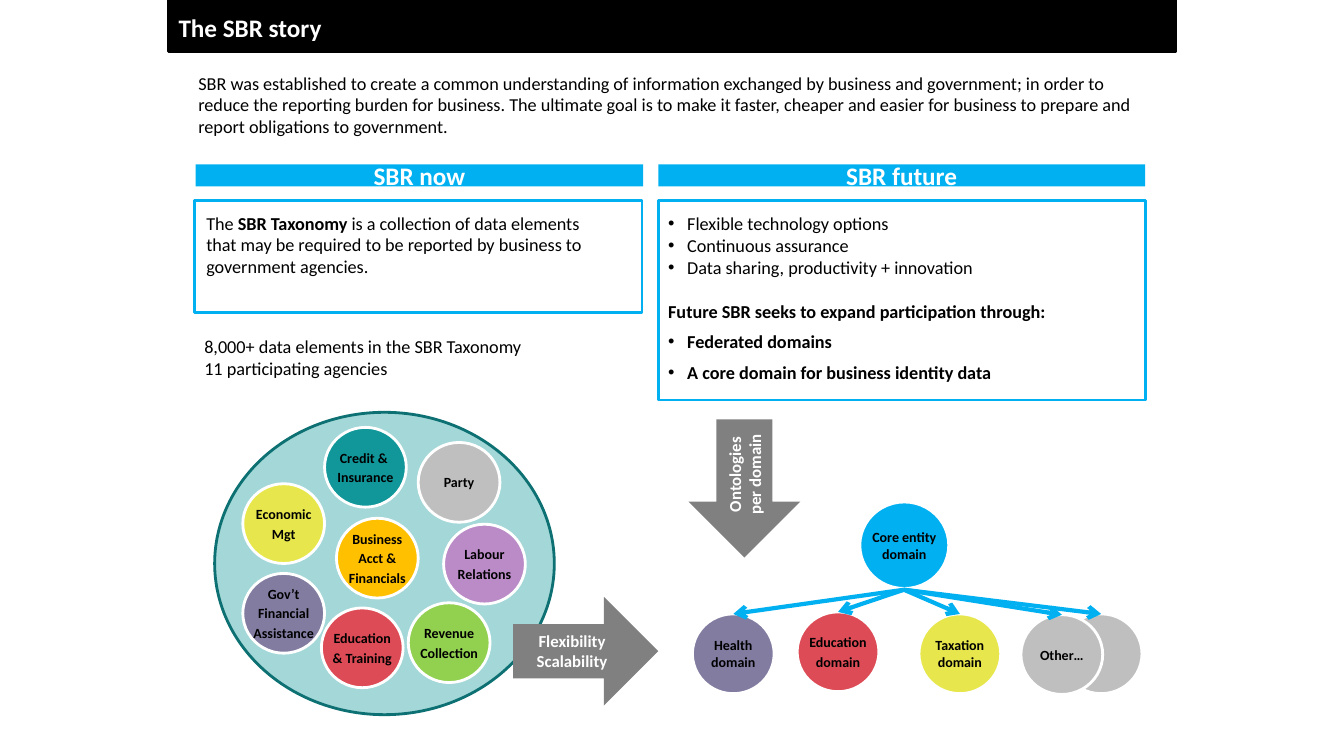
from lxml import etree
from pptx import Presentation
from pptx.dml.color import RGBColor
from pptx.enum.shapes import MSO_CONNECTOR, MSO_SHAPE
from pptx.enum.text import MSO_ANCHOR as Anchor, PP_ALIGN as Align
from pptx.oxml.ns import qn
from pptx.util import Cm, Pt

COLORS = {
    "black": "000000", "white": "FFFFFF", "blue": "00B0F0", "teal": "11979A",
    "dark teal": "0D7072", "dark gray": "808080", "gray": "BFBFBF",
    "purple": "837CA1", "yellow": "E7E74D", "red": "DD4C56",
    "lilac": "BA8BC7", "amber": "FFC000", "green": "92D050",
}
CIRCLE_WIDTH, CIRCLE_HEIGHT = 2.06, 2.01
CIRCLE_INSETS = (0.1, 0.1, 0.1, 0.1)

presentation = Presentation()
presentation.slide_width, presentation.slide_height = Cm(33.87), Cm(19.05)
slide = presentation.slides.add_slide(presentation.slide_layouts[6])


def add_shape(kind, left, top, width, height, fill=None, line=None):
    shape = slide.shapes.add_shape(kind, Cm(left), Cm(top), Cm(width), Cm(height))
    shape.shadow.inherit = False
    if fill:
        shape.fill.solid()
        shape.fill.fore_color.rgb = RGBColor.from_string(COLORS[fill])
    else:
        shape.fill.background()
    if line:
        shape.line.color.rgb = RGBColor.from_string(COLORS[line])
        shape.line.width = Pt(2)
    else:
        shape.line.fill.background()
    return shape


def style_text(shape, size, color="black", bold=False, align=Align.LEFT,
               anchor=Anchor.TOP, insets=(0.25, 0.13, 0.25, 0.13), wrap=True, gap=0):
    """Format all text of a shape; gap is the space between paragraphs in points."""
    frame = shape.text_frame
    frame.word_wrap = wrap
    frame.vertical_anchor = anchor
    frame.margin_left, frame.margin_top, frame.margin_right, frame.margin_bottom = map(Cm, insets)
    for index, paragraph in enumerate(frame.paragraphs):
        paragraph.alignment = align
        paragraph.space_before = Pt(gap if index else 0)
        for run in paragraph.runs:
            run.font.name = "Calibri"
            run.font.size = Pt(size)
            run.font.bold = bold
            run.font.color.rgb = RGBColor.from_string(COLORS[color])


# Title and introduction
add_shape(MSO_SHAPE.RECTANGLE, 4.24, -0.03, 25.4, 1.32, "black", "black")
title = slide.shapes.add_textbox(Cm(4.5), Cm(0.13), Cm(25.12), Cm(1.12))
title.text_frame.text = "The SBR story"
style_text(title, 18, "white", bold=True, insets=(0, 0.18, 0.33, 0.18))

intro = slide.shapes.add_textbox(Cm(4.75), Cm(1.68), Cm(24.33), Cm(1.93))
intro.text_frame.text = (
    "SBR was established to create a common understanding of information exchanged by "
    "business and government; in order to reduce the reporting burden for business. "
    "The ultimate goal is to make it faster, cheaper and easier for business to prepare "
    "and report obligations to government.")
style_text(intro, 13)

# Column headers
for left, width, heading in [(4.93, 11.28, "SBR now"), (16.59, 12.27, "SBR future")]:
    header = add_shape(MSO_SHAPE.RECTANGLE, left, 4.14, width, 0.56, "blue")
    header.text_frame.text = heading
    style_text(header, 18, "white", bold=True, align=Align.CENTER,
               anchor=Anchor.MIDDLE, insets=(0.18, 0.1, 0.18, 0.1))

# SBR now
add_shape(MSO_SHAPE.RECTANGLE, 4.9, 5.05, 11.28, 2.82, line="blue")
taxonomy = slide.shapes.add_textbox(Cm(4.95), Cm(5.21), Cm(10.57), Cm(1.93))
for words in ("The ", "SBR Taxonomy ", "is a collection of data elements that may be "
              "required to be reported by business to government agencies."):
    taxonomy.text_frame.paragraphs[0].add_run().text = words
style_text(taxonomy, 13)
taxonomy.text_frame.paragraphs[0].runs[1].font.bold = True

figures = slide.shapes.add_textbox(Cm(4.9), Cm(8.33), Cm(8.74), Cm(1.37))
figures.text_frame.text = "8,000+ data elements in the SBR Taxonomy\n11 participating agencies"
style_text(figures, 13)

# SBR future: text, bulleted, bold, space before in points
future_lines = [
    ("Flexible technology options", True, False, 0),
    ("Continuous assurance", True, False, 0),
    ("Data sharing, productivity + innovation", True, False, 0),
    ("Future SBR seeks to expand participation through:", False, True, 16),
    ("Federated domains", True, True, 6),
    ("A core domain for business identity data", True, True, 6),
]
future = add_shape(MSO_SHAPE.RECTANGLE, 16.59, 5.05, 12.27, 5.03, line="blue")
future.text_frame.text = "\n".join(line[0] for line in future_lines)
style_text(future, 13, insets=(0.25, 0.3, 0.25, 0.13))
for paragraph, (_, bulleted, bold, space) in zip(future.text_frame.paragraphs, future_lines):
    paragraph.space_before = Pt(space)
    paragraph.runs[0].font.bold = bold
    if bulleted:
        properties = paragraph._p.get_or_add_pPr()
        properties.set("marL", str(Cm(0.48)))
        properties.set("indent", str(-Cm(0.48)))
        etree.SubElement(properties, qn("a:buFont")).set("typeface", "Arial")
        etree.SubElement(properties, qn("a:buChar")).set("char", "•")

# Taxonomy oval
oval = add_shape(MSO_SHAPE.OVAL, 5.41, 10.39, 8.56, 7.62, "teal", "dark teal")
oval_color = oval.element.spPr.find(qn("a:solidFill")).find(qn("a:srgbClr"))
etree.SubElement(oval_color, qn("a:alpha")).set("val", "38000")

# Block arrows
flexibility = add_shape(MSO_SHAPE.RIGHT_ARROW, 12.93, 15.04, 3.66, 2.74, "dark gray")
flexibility.text_frame.text = "Flexibility\nScalability"
ontologies = add_shape(MSO_SHAPE.DOWN_ARROW, 17.35, 10.57, 2.82, 3.48, "dark gray")
ontologies.text_frame.text = "Ontologies per domain"
ontologies.element.txBody.find(qn("a:bodyPr")).set("vert", "vert270")
for arrow in (flexibility, ontologies):
    style_text(arrow, 12, "white", bold=True, align=Align.CENTER, anchor=Anchor.MIDDLE)

# Topic and domain circles
topics = [
    ("Gov’t\nFinancial\nAssistance", 6.12, 14.45, "purple"),
    ("Economic\nMgt", 6.12, 12.19, "yellow"),
    ("Education\n& Training", 8.1, 15.32, "red"),
    ("Credit & \nInsurance", 8.18, 10.77, "teal"),
    ("Labour\nRelations", 11.18, 13.21, "lilac"),
    ("Business\nAcct &\nFinancials", 8.48, 13.06, "amber"),
    ("Party", 10.54, 11.15, "gray"),
    ("Revenue\nCollection", 10.29, 15.19, "green"),
]
domains = [
    ("Health\vdomain", 17.45, 15.47, "purple"),
    ("Taxation\vdomain", 23.16, 15.47, "yellow"),
    ("Education\ndomain", 20.09, 15.42, "red"),
    ("", 26.72, 15.47, "gray"),
    ("Other…", 25.73, 15.49, "gray"),
]
circles = [(*circle, CIRCLE_WIDTH, CIRCLE_HEIGHT) for circle in topics + domains]
circles.append(("Core entity\vdomain", 21.67, 12.65, "blue", 2.24, 2.18))
for label, left, top, color, width, height in circles:
    circle = add_shape(MSO_SHAPE.OVAL, left, top, width, height, color, "white")
    if label:
        circle.text_frame.text = label
        style_text(circle, 10, bold=True, align=Align.CENTER, anchor=Anchor.MIDDLE,
                   insets=CIRCLE_INSETS, wrap=False, gap=2)

# Arrows from the core entity to the top of each domain
for _, left, top, _ in domains:
    connector = slide.shapes.add_connector(
        MSO_CONNECTOR.STRAIGHT, Cm(22.78), Cm(14.86), Cm(left + CIRCLE_WIDTH / 2), Cm(top))
    connector.line.color.rgb = RGBColor.from_string(COLORS["blue"])
    connector.line.width = Pt(3)
    etree.SubElement(connector.line._get_or_add_ln(), qn("a:tailEnd")).set("type", "arrow")
    etree.SubElement(connector._element.spPr, qn("a:effectLst"))

presentation.save("out.pptx")
